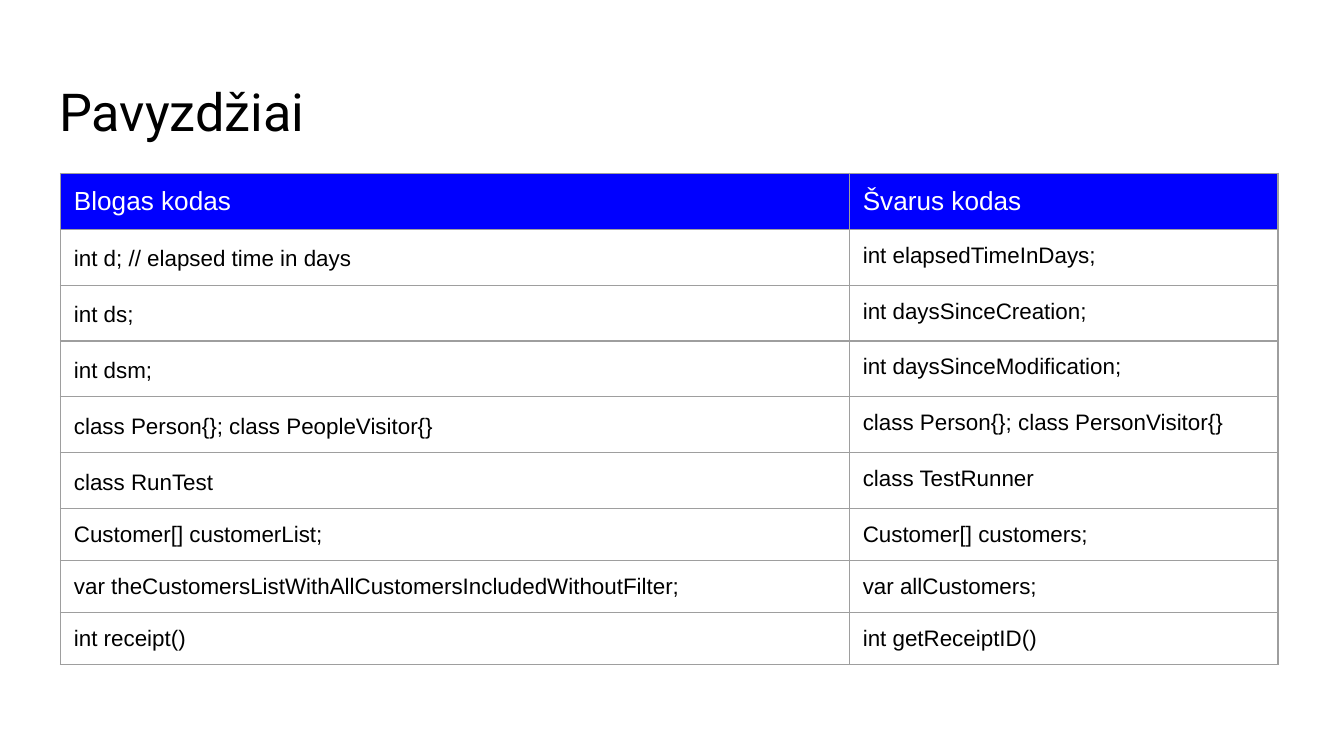
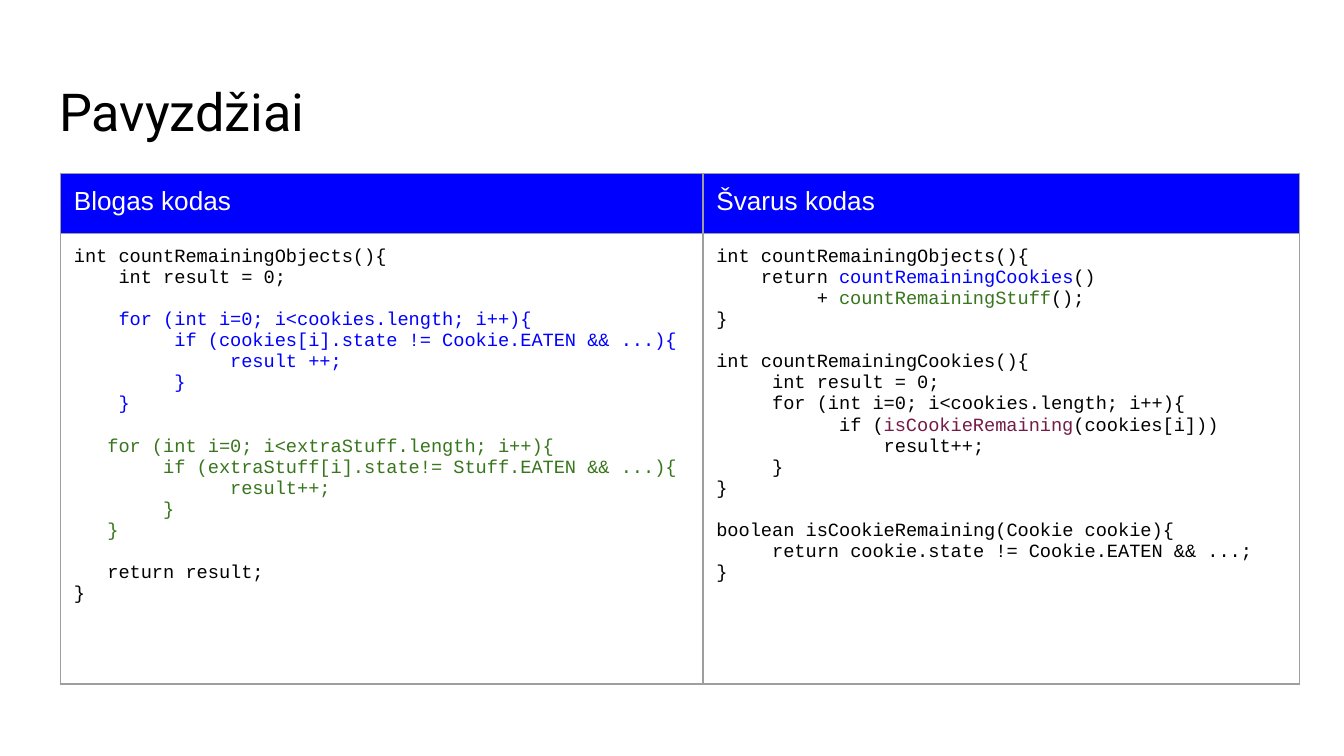
from dataclasses import dataclass

from lxml.etree import SubElement
from pptx import Presentation
from pptx.dml.color import RGBColor
from pptx.enum.text import MSO_ANCHOR, MSO_AUTO_SIZE, PP_ALIGN
from pptx.oxml.ns import qn
from pptx.util import Inches, Pt


@dataclass(frozen=True)
class Theme:
    black: RGBColor = RGBColor(0x00, 0x00, 0x00)
    white: RGBColor = RGBColor(0xFF, 0xFF, 0xFF)
    blue: RGBColor = RGBColor(0x00, 0x00, 0xFF)
    green: RGBColor = RGBColor(0x38, 0x76, 0x1D)
    plum: RGBColor = RGBColor(0x74, 0x1B, 0x47)
    border: str = "9E9E9E"
    border_width: int = Pt(0.75)
    title_font: str = "Roboto"
    body_font: str = "Arial"
    code_font: str = "Courier New"
    title_size: int = Pt(28)
    header_size: int = Pt(14)
    body_size: int = Pt(12)
    code_size: int = Pt(10)
    code_line: int = Pt(11.3)
    inset: int = Inches(0.1)


T = Theme()
WIDTH = Inches(10)
HEIGHT = WIDTH * 9 // 16

# Boxes are left, top, width, height in percent of the slide
TITLE_BOX = (3.4, 8.7, 93.2, 11.2)
NAMES_BOX = (4.5, 22.9, 90.6, 53.3)
CODE_BOX = (4.5, 22.9, 92.2, 67.6)

TITLE = "Pavyzdžiai"
HEADERS = ("Blogas kodas", "Švarus kodas")

NAMES = [
    ("int d; // elapsed time in days", "int elapsedTimeInDays;"),
    ("int ds;", "int daysSinceCreation;"),
    ("int dsm;", "int daysSinceModification;"),
    ("class Person{}; class PeopleVisitor{}", "class Person{}; class PersonVisitor{}"),
    ("class RunTest", "class TestRunner"),
    ("Customer[] customerList;", "Customer[] customers;"),
    ("var theCustomersListWithAllCustomersIncludedWithoutFilter;", "var allCustomers;"),
    ("int receipt()", "int getReceiptID()"),
]
LOOSE_ROWS = 5  # first rows of names, with wider line spacing on the left

BAD_CODE = [
    (T.black, """int countRemainingObjects(){
    int result = 0;

"""),
    (T.blue, """    for (int i=0; i<cookies.length; i++){
         if (cookies[i].state != Cookie.EATEN && ...){
              result ++;
         }
    }

"""),
    (T.green, """   for (int i=0; i<extraStuff.length; i++){
        if (extraStuff[i].state!= Stuff.EATEN && ...){
              result++;
        }
   }

"""),
    (T.black, """   return result;
}"""),
]

CLEAN_CODE = [
    (T.black, """int countRemainingObjects(){
    return """),
    (T.blue, "countRemainingCookies"),
    (T.black, """()
         + """),
    (T.green, "countRemainingStuff"),
    (T.black, """();
}

int countRemainingCookies(){
     int result = 0;
     for (int i=0; i<cookies.length; i++){
           if ("""),
    (T.plum, "isCookieRemaining"),
    (T.black, """(cookies[i]))
               result++;
     }
}

boolean isCookieRemaining(Cookie cookie){
     return cookie.state != Cookie.EATEN && ...;
}"""),
]


def place(box):
    """Turn a box in percent of the slide into lengths."""
    left, top, width, height = box
    return (round(WIDTH * left / 100), round(HEIGHT * top / 100),
            round(WIDTH * width / 100), round(HEIGHT * height / 100))


def set_font(target, name, size, color):
    target.font.name, target.font.size = name, size
    target.font.color.rgb = color


def set_insets(target):
    target.margin_left = target.margin_right = T.inset
    target.margin_top = target.margin_bottom = T.inset


def add_title_slide(prs, text):
    slide = prs.slides.add_slide(prs.slide_layouts[5])
    title = slide.shapes.title
    title.left, title.top, title.width, title.height = place(TITLE_BOX)
    tf = title.text_frame
    set_insets(tf)
    tf.word_wrap = True
    tf.auto_size = MSO_AUTO_SIZE.NONE
    tf.vertical_anchor = MSO_ANCHOR.TOP
    tf.text = text
    p = tf.paragraphs[0]
    p.alignment = PP_ALIGN.LEFT
    set_font(p, T.title_font, T.title_size, T.black)
    return slide


def add_borders(cell):
    tc_pr = cell._tc.get_or_add_tcPr()
    for side in ("lnL", "lnR", "lnT", "lnB"):
        ln = SubElement(tc_pr, qn(f"a:{side}"), w=str(T.border_width))
        fill = SubElement(ln, qn("a:solidFill"))
        SubElement(fill, qn("a:srgbClr"), val=T.border)


def add_comparison_table(slide, box, col_weights, row_weights):
    """Add a bordered table with its header row; weights share out the box."""
    left, top, width, height = place(box)
    table = slide.shapes.add_table(len(row_weights), len(col_weights),
                                   left, top, width, height).table
    table.first_row = table.horz_banding = False
    for column, weight in zip(table.columns, col_weights):
        column.width = round(width * weight / sum(col_weights))
    for row, weight in zip(table.rows, row_weights):
        row.height = round(height * weight / sum(row_weights))
    for cell in table.iter_cells():
        set_insets(cell)
        add_borders(cell)
        cell.fill.background()
    for cell, text in zip(table.rows[0].cells, HEADERS):
        cell.fill.solid()
        cell.fill.fore_color.rgb = T.blue
        cell.text = text
        set_font(cell.text_frame.paragraphs[0], T.body_font, T.header_size, T.white)
    return table


def write_code(tf, segments):
    """Write coloured segments line by line; an empty line becomes space before."""
    lines = [[]]
    for color, text in segments:
        first, *rest = text.split("\n")
        lines[-1].append((color, first))
        lines.extend([(color, line)] for line in rest)
    p, gap = tf.paragraphs[0], 0
    for i, line in enumerate(lines):
        parts = [(color, text) for color, text in line if text]
        if not parts:
            gap += T.code_line
            continue
        if i:
            p = tf.add_paragraph()
        if gap:
            p.space_before, gap = gap, 0
        for color, text in parts:
            r = p.add_run()
            r.text = text
            set_font(r, T.code_font, T.code_size, color)


def names_slide(prs):
    slide = add_title_slide(prs, TITLE)
    table = add_comparison_table(slide, NAMES_BOX, (5.87, 3.19), [0.34] * 6 + [0.32] * 3)
    for i, names in enumerate(NAMES):
        for j, name in enumerate(names):
            cell = table.cell(i + 1, j)
            cell.text = name
            p = cell.text_frame.paragraphs[0]
            if j == 0 and i < LOOSE_ROWS:
                p.line_spacing = 1.15
            set_font(p, T.body_font, T.body_size, T.black)


def code_slide(prs):
    slide = add_title_slide(prs, TITLE)
    table = add_comparison_table(slide, CODE_BOX, (4.78, 4.44), (0.45, 3.35))
    for cell, code in zip(table.rows[1].cells, (BAD_CODE, CLEAN_CODE)):
        write_code(cell.text_frame, code)


def main():
    prs = Presentation()
    prs.slide_width, prs.slide_height = WIDTH, HEIGHT
    names_slide(prs)
    code_slide(prs)
    prs.save("out.pptx")


if __name__ == "__main__":
    main()
